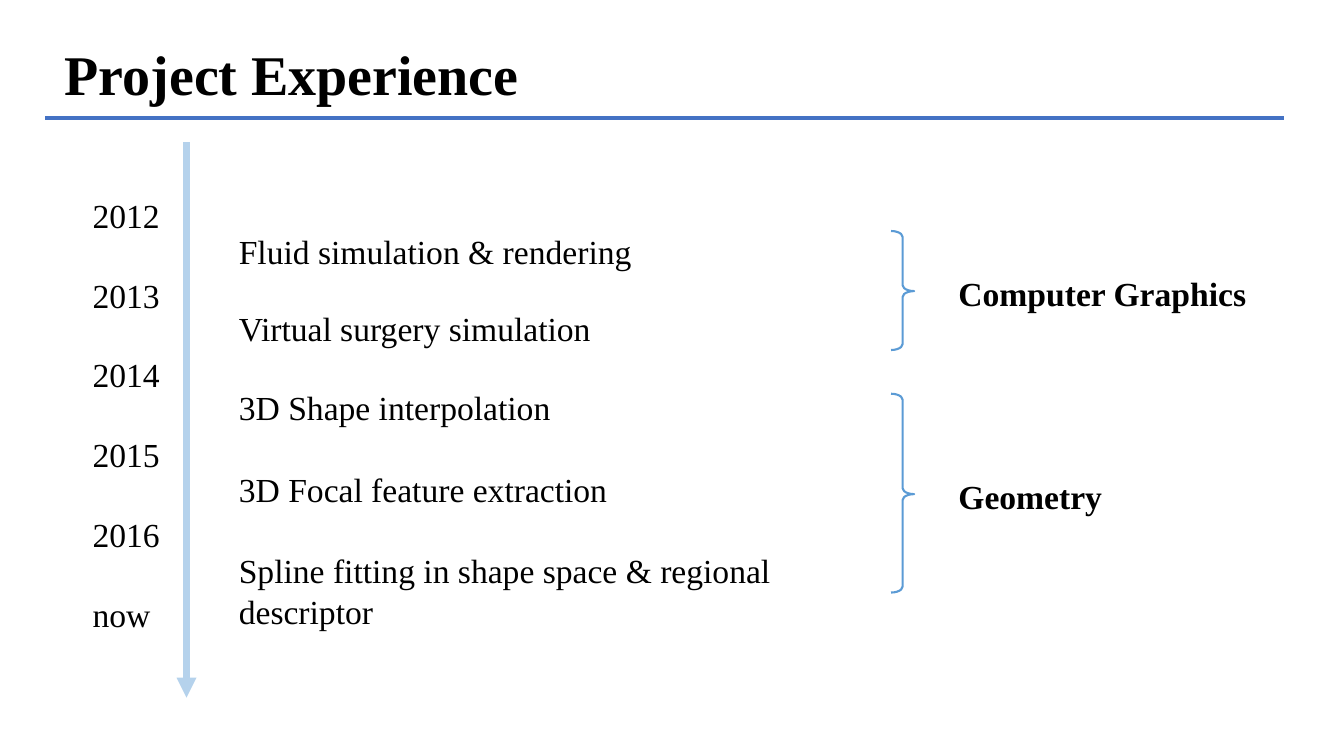
from collections import namedtuple
from dataclasses import dataclass

from lxml import etree
from pptx import Presentation
from pptx import util as u
from pptx.dml.color import RGBColor
from pptx.enum import shapes, text
from pptx.oxml import ns

Pt = u.Pt
Box = namedtuple("Box", "left top width height")


@dataclass(frozen=True)
class Theme:
    font: str = "Times New Roman"
    ink: RGBColor = RGBColor(0, 0, 0)
    rule: RGBColor = RGBColor(0x44, 0x72, 0xC4)
    arrow: RGBColor = RGBColor(0xB5, 0xD2, 0xEC)
    brace: RGBColor = RGBColor(0x5B, 0x9B, 0xD5)
    title_size: float = 40
    body_size: float = 24
    rule_width: float = 2.5
    arrow_width: float = 4.75
    brace_width: float = 1.5
    line_height: float = 36


THEME = Theme()
YEARS = ["2012", "2013", "2014", "2015", "2016", "now"]
PROJECTS = [
    ("Fluid simulation & rendering", 0, 427),
    ("Virtual surgery simulation", 55.5, 427),
    ("3D Shape interpolation", 111.5, 427),
    ("3D Focal feature extraction", 170, 427),
    ("Spline fitting in shape space & regional descriptor", 228.25, 470),
]
FIELDS = [
    ("Computer Graphics", Box(636.5, 165, 16.5, 85), 270),
    ("Geometry", Box(636.5, 281.25, 16.5, 142), 166.5),
]


def apply(target, values):
    for name, value in values.items():
        setattr(target, name, value)


def add_text(slide, box, words, indent=0, font=None, frame=None, line_spacing=None):
    shape = slide.shapes.add_textbox(*map(Pt, box))
    apply(shape.text_frame, {
        "word_wrap": True,
        "auto_size": text.MSO_AUTO_SIZE.SHAPE_TO_FIT_TEXT,
        **(frame or {}),
    })
    paragraph = shape.text_frame.paragraphs[0]
    paragraph.line_spacing = line_spacing
    if indent:
        paragraph._p.get_or_add_pPr().set("marL", str(Pt(indent)))
    run = paragraph.add_run()
    run.text = words
    apply(run.font, {"name": THEME.font, "size": Pt(THEME.body_size), **(font or {})})
    run.font.color.rgb = THEME.ink


def add_line(slide, start, end, color, width, arrowhead=False):
    line = slide.shapes.add_connector(
        shapes.MSO_CONNECTOR.STRAIGHT, *map(Pt, (*start, *end)))
    line.line.color.rgb = color
    line.line.width = Pt(width)
    if arrowhead:
        etree.SubElement(line.line._get_or_add_ln(), ns.qn("a:tailEnd"), type="triangle")
    etree.SubElement(line._element.spPr, ns.qn("a:effectLst"))


def add_header(slide, box):
    bottom = box.top + box.height
    add_line(slide, (box.left, bottom), (box.left + box.width, bottom),
             THEME.rule, THEME.rule_width)
    margins = dict.fromkeys(
        ("margin_left", "margin_top", "margin_right", "margin_bottom"), Pt(2.9))
    add_text(slide, Box(box.left + 10.8, box.top, box.width - 22, 55.5),
             "Project Experience",
             font={"size": Pt(THEME.title_size), "bold": True},
             frame={**margins, "auto_size": text.MSO_AUTO_SIZE.NONE,
                    "vertical_anchor": text.MSO_ANCHOR.MIDDLE},
             line_spacing=0.9)


def add_timeline(slide, box):
    right = box.left + box.width
    add_line(slide, (right, box.top), (right, box.top + box.height),
             THEME.arrow, THEME.arrow_width, arrowhead=True)
    for index, year in enumerate(YEARS):
        add_text(slide, Box(box.left, box.top + 34 + 57 * index, 65, THEME.line_height), year)


def add_projects(slide, left, top):
    for name, offset, width in PROJECTS:
        add_text(slide, Box(left, top + offset, width, THEME.line_height), name, indent=36)


def add_field(slide, box, name, label_width):
    brace = slide.shapes.add_shape(shapes.MSO_SHAPE.RIGHT_BRACE, *map(Pt, box))
    brace.shadow.inherit = False
    brace.fill.background()
    brace.line.color.rgb = THEME.brace
    brace.line.width = Pt(THEME.brace_width)
    for index, value in enumerate((0.256, 0.505)):
        brace.adjustments[index] = value
    label_top = box.top + (box.height - THEME.line_height) / 2 + 2
    add_text(slide, Box(box.left + 5, label_top, label_width, THEME.line_height),
             name, indent=36, font={"bold": True})


def main():
    presentation = Presentation()
    apply(presentation, {"slide_width": Pt(960), "slide_height": Pt(540)})
    slide = presentation.slides.add_slide(presentation.slide_layouts[6])
    add_header(slide, Box(32.5, 27.25, 885, 57))
    add_timeline(slide, Box(59, 101.5, 74.25, 396.75))
    add_projects(slide, 127.5, 161.25)
    for name, box, label_width in FIELDS:
        add_field(slide, box, name, label_width)
    presentation.save("out.pptx")


if __name__ == "__main__":
    main()
